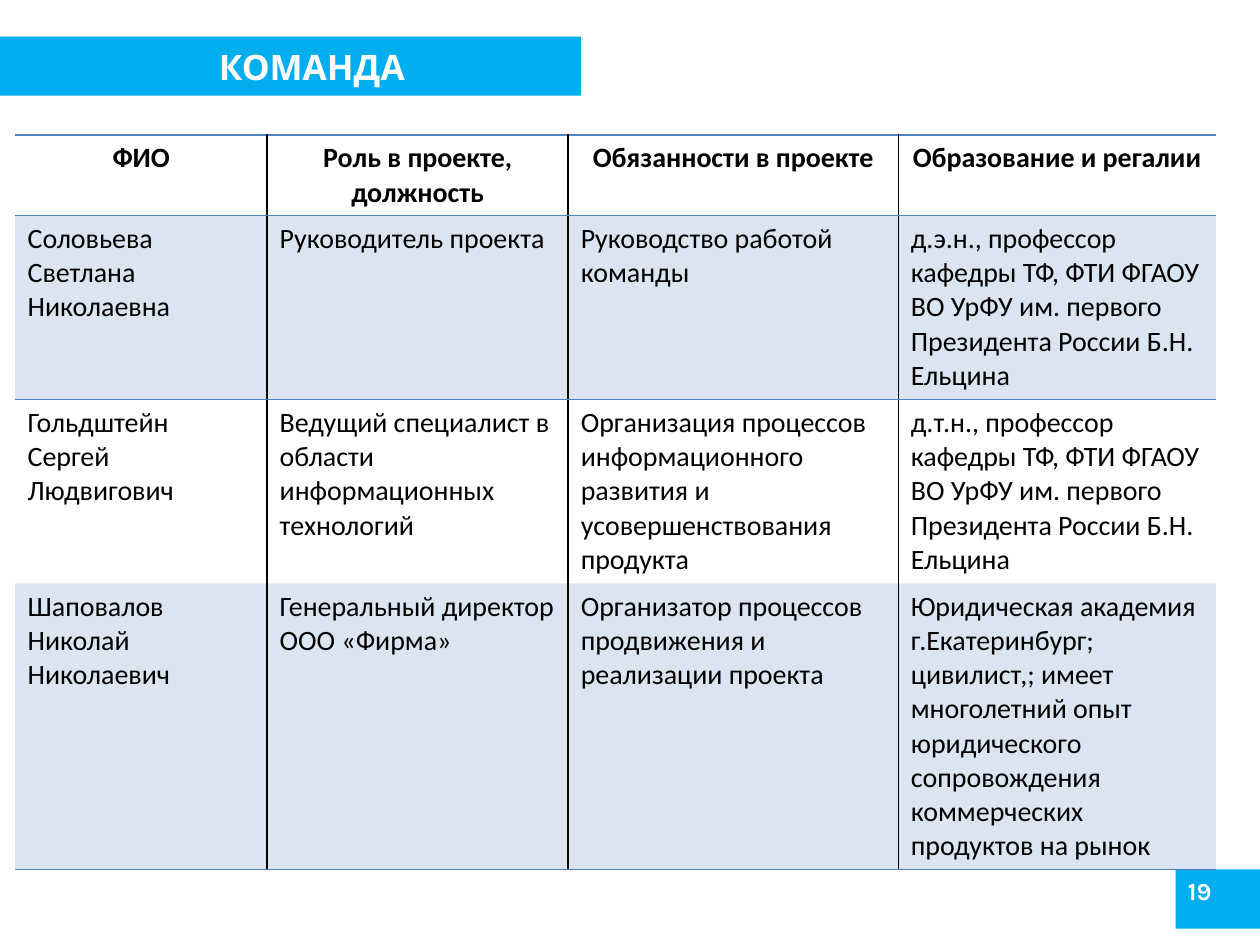
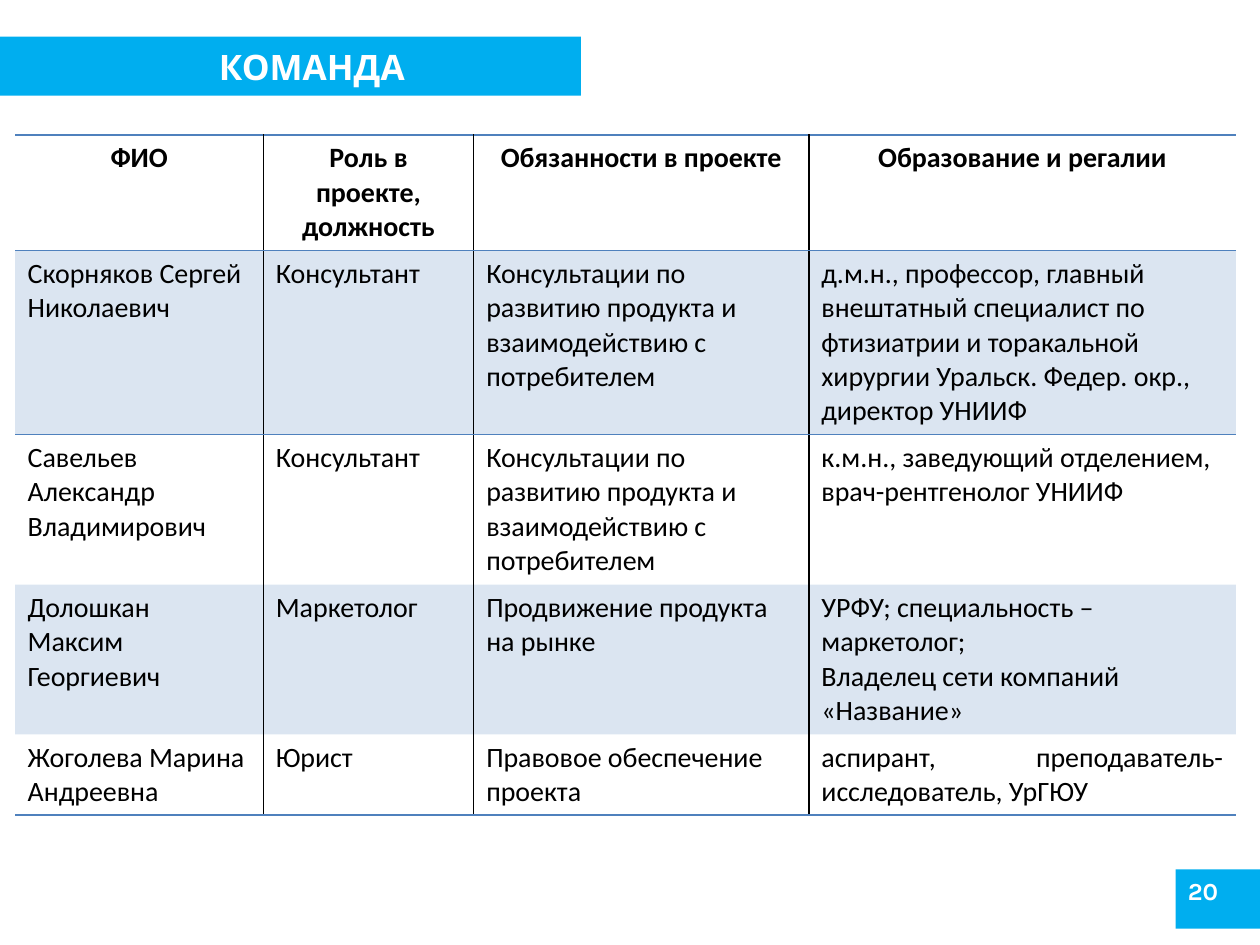
from lxml.etree import SubElement
from pptx import Presentation
from pptx.dml.color import RGBColor as Rgb
from pptx.enum.shapes import MSO_SHAPE as Preset
from pptx.enum.text import MSO_ANCHOR as Anchor, PP_ALIGN as Align
from pptx.oxml.ns import qn
from pptx.util import Inches, Pt

COLORS = {"band": "00AEEF", "white": "FFFFFF", "black": "000000", "accent": "4F81BD"}
HEADING_FONT, BODY_FONT = "Karla", "Calibri"
NO_STYLE = "{2D5ABB26-0587-4C30-8999-92F81FD0307C}"
TITLE_BAND = (0, 0.29, 4.61, 0.47)
TITLE_BOX = (0.35, 0.29, 4.25, 0.47)
PAGE_BAND = (9.33, 6.9, 0.67, 0.47)
PAGE_BOX = (9.33, 6.9, 0.63, 0.47)
TABLE_ORIGIN = (0.12, 1.07)
HEADINGS = ("ФИО", "Роль в проекте, должность", "Обязанности в проекте", "Образование и регалии")
CHAIR = ("профессор кафедры ТФ, ФТИ ФГАОУ ВО УрФУ им. первого "
         "Президента России Б.Н. Ельцина")
CONSULTING = "Консультации по развитию продукта и взаимодействию с потребителем"

TEAMS = [
    {
        "page": 19,
        "columns": (2, 2.39, 2.62, 2.52),
        "rows": (0.64, 1.46, 1.46, 2.27),
        "justified": (),
        "members": [
            ("Соловьева Светлана Николаевна", "Руководитель проекта",
             "Руководство работой команды", f"д.э.н., {CHAIR}"),
            ("Гольдштейн Сергей Людвигович",
             "Ведущий специалист в области информационных технологий",
             "Организация процессов информационного развития и усовершенствования продукта",
             f"д.т.н., {CHAIR}"),
            ("Шаповалов Николай Николаевич", "Генеральный директор ООО «Фирма»",
             "Организатор процессов продвижения и реализации проекта",
             "Юридическая академия г.Екатеринбург; цивилист,; имеет многолетний опыт "
             "юридического сопровождения коммерческих продуктов на рынок"),
        ],
    },
    {
        "page": 20,
        "columns": (1.97, 1.67, 2.66, 3.39),
        "rows": (0.92, 1.46, 1.19, 1.19, 0.64),
        "justified": ((4, 3),),
        "members": [
            ("Скорняков Сергей Николаевич", "Консультант", CONSULTING,
             "д.м.н., профессор, главный внештатный специалист по фтизиатрии и "
             "торакальной хирургии Уральск. Федер. окр., директор УНИИФ"),
            ("Савельев Александр Владимирович", "Консультант", CONSULTING,
             "к.м.н., заведующий отделением, врач-рентгенолог УНИИФ"),
            ("Долошкан Максим Георгиевич", "Маркетолог", "Продвижение продукта на рынке",
             "УРФУ; специальность – маркетолог;\nВладелец сети компаний «Название»"),
            ("Жоголева Марина Андреевна", "Юрист", "Правовое обеспечение проекта",
             "аспирант, преподаватель-исследователь, УрГЮУ"),
        ],
    },
]


def inches(box):
    """Convert a sequence of numbers to lengths."""
    return [Inches(value) for value in box]


def style_text(frame, size, font, color, bold, align=Align.LEFT):
    """Format every paragraph of a text frame alike."""
    for paragraph in frame.paragraphs:
        paragraph.alignment = align
        paragraph.font.size = Pt(size)
        paragraph.font.name = font
        paragraph.font.bold = bold
        paragraph.font.color.rgb = Rgb.from_string(COLORS[color])


def move_bands_to_layout(slide):
    """Draw the title and page bands and place them on the shared layout."""
    layout_tree = slide.slide_layout.placeholders[0].element.getparent()
    for number, box in enumerate((TITLE_BAND, PAGE_BAND)):
        band = slide.shapes.add_shape(Preset.RECTANGLE, *inches(box))
        band.shadow.inherit = False
        band.fill.solid()
        band.fill.fore_color.rgb = Rgb.from_string(COLORS["band"])
        band.line.fill.background()
        band.element.nvSpPr.cNvPr.set("id", str(20 + number))
        layout_tree.insert(2 + number, band.element)


def place_title(slide, box, text):
    """Put the slide title in its box."""
    title = slide.shapes.title
    title.left, title.top, title.width, title.height = inches(box)
    title.text_frame.text = text
    title.text_frame.vertical_anchor = Anchor.MIDDLE
    style_text(title.text_frame, 20, HEADING_FONT, "white", True, Align.CENTER)


def place_page_number(slide, box, number):
    """Write the page number in its box."""
    page = slide.shapes.add_textbox(*inches(box))
    page.text_frame.word_wrap = True
    page.text_frame.text = str(number)
    style_text(page.text_frame, 14, HEADING_FONT, "white", True)


def add_border(cell, side, color):
    """Add a one-point border to one side of a cell."""
    border = SubElement(cell._tc.get_or_add_tcPr(), qn(f"a:ln{side}"), w=str(Pt(1)))
    fill = SubElement(border, qn("a:solidFill"))
    SubElement(fill, qn("a:srgbClr"), val=COLORS[color])


def style_cell(cell, row, column, last_row, last_column):
    """Give a cell its borders and its banded fill."""
    borders = (("L", "black", column > 0), ("R", "black", column < last_column),
               ("T", "accent", row in (0, 1)), ("B", "accent", row in (0, last_row)))
    for side, color, present in borders:
        if present:
            add_border(cell, side, color)
    if row % 2:
        cell.fill.solid()
        cell.fill.fore_color.rgb = Rgb.from_string(COLORS["accent"])
        tint = next(cell._tc.tcPr.find(qn("a:solidFill")).iter(qn("a:srgbClr")))
        SubElement(tint, qn("a:alpha"), val="20000")
    else:
        cell.fill.background()


def place_team_table(slide, origin, team):
    """Build the table of team members from its top left corner."""
    entries = [HEADINGS, *team["members"]]
    widths, heights = inches(team["columns"]), inches(team["rows"])
    frame = slide.shapes.add_table(len(heights), len(widths), *inches(origin),
                                   sum(widths), sum(heights))
    table = frame.table
    table.first_row = table.horz_banding = False
    next(frame.element.iter(qn("a:tableStyleId"))).text = NO_STYLE
    for column, width in zip(table.columns, widths):
        column.width = width
    for row, (height, entry) in enumerate(zip(heights, entries)):
        table.rows[row].height = height
        for column, text in enumerate(entry):
            cell = table.cell(row, column)
            cell.text = text
            align = Align.CENTER if row == 0 else Align.LEFT
            if (row, column) in team["justified"]:
                align = Align.JUSTIFY
            style_text(cell.text_frame, 16, BODY_FONT, "black", row == 0, align)
            style_cell(cell, row, column, len(heights) - 1, len(widths) - 1)


def add_team_slide(deck, team):
    """Add one slide listing team members."""
    slide = deck.slides.add_slide(deck.slide_layouts[5])
    place_title(slide, TITLE_BOX, "КОМАНДА")
    place_page_number(slide, PAGE_BOX, team["page"])
    place_team_table(slide, TABLE_ORIGIN, team)
    return slide


def main():
    """Build and save the deck."""
    deck = Presentation()
    deck.slide_width, deck.slide_height = inches((10, 7.5))
    slides = [add_team_slide(deck, team) for team in TEAMS]
    move_bands_to_layout(slides[0])
    deck.save("out.pptx")


if __name__ == "__main__":
    main()
